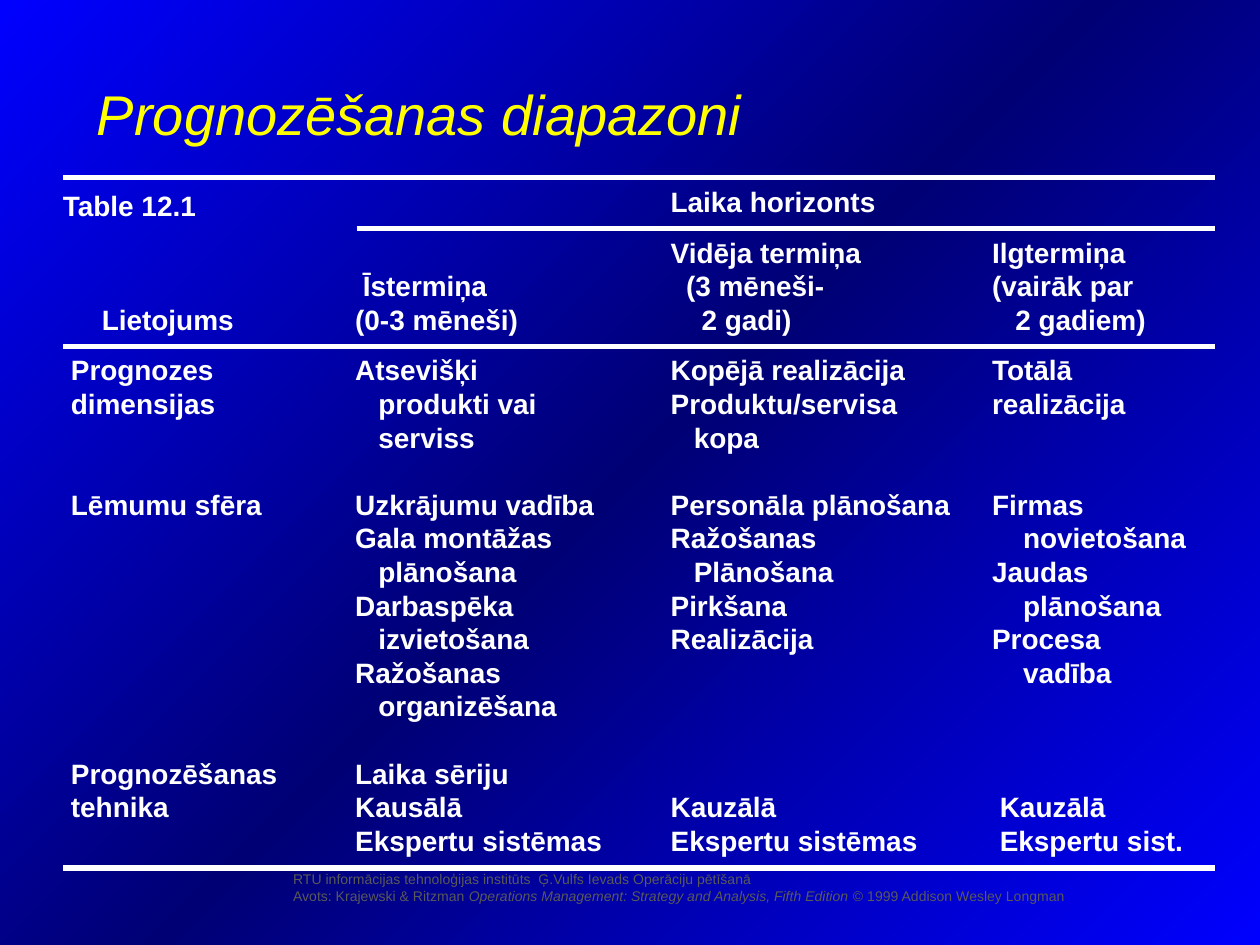
from copy import deepcopy
from dataclasses import dataclass

from pptx import Presentation
from pptx.dml.color import RGBColor
from pptx.enum import shapes, text
from pptx.oxml import xmlchemy
from pptx.util import Cm, Pt
from lxml import etree

DRAWING = "http://schemas.openxmlformats.org/drawingml/2006/main"
NO_GRID_STYLE = "{2D5ABB26-0587-4C30-8999-92F81FD0307C}"


@dataclass(frozen=True)
class Theme:
    font: str = "Arial"
    white: RGBColor = RGBColor(0xFF, 0xFF, 0xFF)
    yellow: RGBColor = RGBColor(0xFF, 0xFF, 0x00)
    gray: RGBColor = RGBColor(0x59, 0x59, 0x59)
    blue: RGBColor = RGBColor(0x00, 0x00, 0xFF)
    navy: RGBColor = RGBColor(0x00, 0x00, 0x75)
    title_size: Pt = Pt(32)
    body_size: Pt = Pt(16)
    footer_size: Pt = Pt(8)
    line_height: Pt = Pt(19.2)
    rule_width: Pt = Pt(3)
    indent_step: float = 0.156


THEME = Theme()

COLUMN_WIDTHS = (5.73, 6.36, 6.48, 4.49)
ROW_HEIGHTS = (1.02, 2.37, 2.71, 5.42, 2.03)
HEADER_GAP = 0.34

# Each cell is a list of lines; a line is text or (indent steps, text).
ROWS = (
    ([], [], ["Laika horizonts"], []),
    (
        [(4, "Lietojums")],
        [(1, "Īstermiņa"), "(0-3 mēneši)"],
        ["Vidēja termiņa", (2, "(3 mēneši-"), (4, "2 gadi)")],
        ["Ilgtermiņa", "(vairāk par", (3, "2 gadiem)")],
    ),
    (
        ["Prognozes", "dimensijas"],
        ["Atsevišķi", (3, "produkti vai"), (3, "serviss")],
        ["Kopējā realizācija", "Produktu/servisa", (3, "kopa")],
        ["Totālā", "realizācija"],
    ),
    (
        ["Lēmumu sfēra"],
        ["Uzkrājumu vadība", "Gala montāžas", (3, "plānošana"), "Darbaspēka",
         (3, "izvietošana"), "Ražošanas", (3, "organizēšana")],
        ["Personāla plānošana", "Ražošanas", (3, "Plānošana"), "Pirkšana", "Realizācija"],
        ["Firmas", (4, "novietošana"), "Jaudas", (4, "plānošana"), "Procesa", (4, "vadība")],
    ),
    (
        ["Prognozēšanas", "tehnika"],
        ["Laika sēriju", "Kausālā", "Ekspertu sistēmas"],
        ["Kauzālā", "Ekspertu sistēmas"],
        [(1, "Kauzālā"), (1, "Ekspertu sist.")],
    ),
)

SOURCE_LINES = (
    (("RTU informācijas tehnoloģijas institūts  Ģ.Vulfs Ievads Operāciju pētīšanā", False),),
    (
        ("Avots: Krajewski & Ritzman ", False),
        ("Operations Management: Strategy and Analysis, Fifth Edition", True),
        (" © 1999 Addison Wesley Longman", False),
    ),
)


def style_font(font, size, color, bold=False, italic=False):
    font.name = THEME.font
    font.size = size
    font.color.rgb = color
    font.bold = bold
    font.italic = italic


def set_background(slide):
    fill = slide.background.fill
    fill.gradient()
    fill.gradient_angle = 135
    stop_list = slide.element.xpath(".//a:gsLst")[0]
    stop_list.insert(1, deepcopy(stop_list[0]))
    colors = (THEME.blue, THEME.navy, THEME.blue)
    for stop, position, color in zip(fill.gradient_stops, (0, 0.5, 1), colors):
        stop.position = position
        stop.color.rgb = color


def set_title(slide, title_text):
    title = slide.shapes.title
    title.left, title.top, title.width, title.height = Cm(1.7), Cm(1.02), Cm(21.54), Cm(2.54)
    title.text_frame.text = title_text
    title.text_frame.vertical_anchor = text.MSO_ANCHOR.MIDDLE
    paragraph = title.text_frame.paragraphs[0]
    paragraph.alignment = text.PP_ALIGN.LEFT
    style_font(paragraph.runs[0].font, THEME.title_size, THEME.yellow, italic=True)


def write_lines(text_frame, lines):
    """Write bold body lines, each indented by its number of steps."""
    for index, line in enumerate(lines):
        steps, words = (0, line) if isinstance(line, str) else line
        paragraph = text_frame.paragraphs[0] if index == 0 else text_frame.add_paragraph()
        paragraph.text = words
        paragraph.line_spacing = THEME.line_height
        if steps:
            properties = paragraph._p.get_or_add_pPr()
            properties.set("marL", str(Cm(steps * THEME.indent_step)))
        style_font(paragraph.runs[0].font, THEME.body_size, THEME.white, bold=True)


def cell_anchor(row, column):
    last_row = len(ROWS) - 1
    if row == 1 or (row == last_row and column > 0):
        return text.MSO_ANCHOR.BOTTOM
    return text.MSO_ANCHOR.TOP


def add_range_table(slide):
    frame = slide.shapes.add_table(
        len(ROWS), len(COLUMN_WIDTHS), Cm(1.43), Cm(3.73),
        Cm(sum(COLUMN_WIDTHS)), Cm(sum(ROW_HEIGHTS)))
    table = frame.table
    table.first_row = table.horz_banding = False
    frame._element.xpath(".//a:tableStyleId")[0].text = NO_GRID_STYLE
    for column, width in zip(table.columns, COLUMN_WIDTHS):
        column.width = Cm(width)
    for row, height in zip(table.rows, ROW_HEIGHTS):
        row.height = Cm(height)
    for row_index, cells in enumerate(ROWS):
        for column_index, lines in enumerate(cells):
            cell = table.cell(row_index, column_index)
            cell.fill.background()
            cell.margin_left = cell.margin_right = cell.margin_top = 0
            cell.margin_bottom = Cm(HEADER_GAP) if row_index == 1 else 0
            cell.vertical_anchor = cell_anchor(row_index, column_index)
            write_lines(cell.text_frame, lines)


def add_rule(slide, left, top):
    """Draw a horizontal rule from left to the table's right edge."""
    rule = slide.shapes.add_connector(
        shapes.MSO_CONNECTOR.STRAIGHT, Cm(left), Cm(top), Cm(24.49), Cm(top))
    rule.line.color.rgb = THEME.white
    rule.line.width = THEME.rule_width
    etree.SubElement(rule._element.spPr, f"{{{DRAWING}}}effectLst")


def add_caption(slide, caption):
    box = slide.shapes.add_textbox(Cm(1.02), Cm(3.68), Cm(3.23), Cm(0.94))
    box.text_frame.word_wrap = False
    write_lines(box.text_frame, [caption])


def add_source(slide):
    box = slide.shapes.add_textbox(Cm(5.66), Cm(17.42), Cm(19.74), Cm(0.94))
    text_frame = box.text_frame
    text_frame.word_wrap = True
    for index, parts in enumerate(SOURCE_LINES):
        paragraph = text_frame.paragraphs[0] if index == 0 else text_frame.add_paragraph()
        for words, italic in parts:
            run = paragraph.add_run()
            run.text = words
            style_font(run.font, THEME.footer_size, THEME.gray, italic=italic)


def main():
    presentation = Presentation()
    presentation.slide_width, presentation.slide_height = Cm(25.4), Cm(19.05)
    slide = presentation.slides.add_slide(presentation.slide_layouts[5])
    set_background(slide)
    add_source(slide)
    add_range_table(slide)
    for left, top in ((1.27, 6.99), (1.27, 3.58), (1.27, 17.5), (7.19, 4.6)):
        add_rule(slide, left, top)
    add_caption(slide, "Table 12.1")
    set_title(slide, "Prognozēšanas diapazoni")
    presentation.save("out.pptx")


if __name__ == "__main__":
    main()
